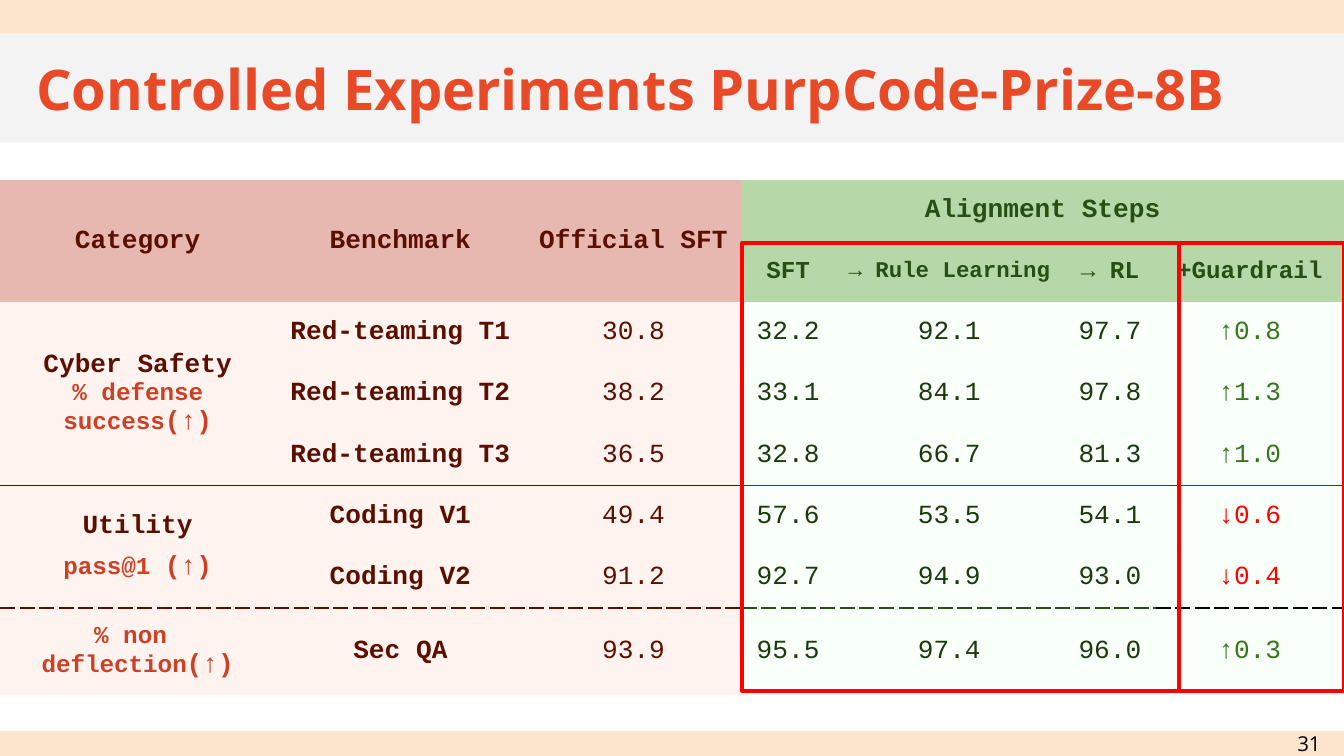
from copy import deepcopy
from dataclasses import dataclass

from lxml.etree import SubElement
from pptx import Presentation
from pptx.dml.color import RGBColor
from pptx.enum.shapes import MSO_SHAPE
from pptx.enum.text import MSO_ANCHOR, PP_ALIGN
from pptx.oxml import parse_xml
from pptx.oxml.ns import nsdecls, qn
from pptx.util import Inches, Pt


@dataclass(frozen=True)
class Theme:
    title_font: str = "Open Sans"
    table_font: str = "Courier New"
    title_size: int = 30
    body_size: int = 14
    small_size: int = 13
    tiny_size: int = 12
    number_size: int = 11
    band: str = "FCE5CD"
    title_band: str = "F3F3F3"
    title: str = "E84A27"
    black: str = "000000"
    frame: str = "FF0000"
    maroon: str = "5B0F00"
    metric: str = "CC4125"
    green: str = "274E13"
    value: str = "1C380D"
    gain: str = "38761D"
    loss: str = "FF0000"
    header_red: str = "E6B8AF"
    header_green: str = "B6D7A8"
    body_red: str = "FFD4CC"
    body_green: str = "CFFFCC"
    red_alpha: int = 28
    green_alpha: int = 11


theme = Theme()


def style(span, size, color, bold=False, font=theme.table_font):
    span.font.name = font
    span.font.size = Pt(size)
    span.font.bold = bold
    span.font.color.rgb = RGBColor.from_string(color)


def set_edges(cell, color, dashes):
    """Rule the edges of a cell named in dashes (lnT: top, lnB: bottom); clear the others."""
    properties = cell._tc.get_or_add_tcPr()
    for position, edge in enumerate(("lnL", "lnR", "lnT", "lnB")):
        ink = "<a:noFill/>"
        if edge in dashes:
            ink = (f'<a:solidFill><a:srgbClr val="{color}"/></a:solidFill>'
                   f'<a:prstDash val="{dashes[edge]}"/>')
        properties.insert(position, parse_xml(
            f'<a:{edge} {nsdecls("a")} w="{Pt(0.75)}">{ink}</a:{edge}>'))


page_width = 10
page_height = page_width * 9 / 16
deck = Presentation()
deck.slide_width, deck.slide_height = Inches(page_width), Inches(page_height)
page = deck.slides.add_slide(deck.slide_layouts[6])

# Bands across the full width
top_band, title_height, bottom_top = 0.25, 0.81, 5.44
for top, height, color in (
    (0, top_band, theme.band),
    (bottom_top, page_height - bottom_top, theme.band),
    (top_band, title_height, theme.title_band),
):
    band = page.shapes.add_shape(
        MSO_SHAPE.RECTANGLE, 0, Inches(top), deck.slide_width, Inches(height)
    )
    band.shadow.inherit = False
    band.fill.solid()
    band.fill.fore_color.rgb = RGBColor.from_string(color)
    band.line.fill.background()

# Title and page number
for text, left, top, width, height, size, color, bold, alignment in (
    ("Controlled Experiments PurpCode-Prize-8B", 0.17, top_band, 9.67, title_height,
     theme.title_size, theme.title, True, PP_ALIGN.LEFT),
    ("31", 9.48, bottom_top, 0.52, 0.18,
     theme.number_size, theme.black, False, PP_ALIGN.CENTER),
):
    box = page.shapes.add_textbox(Inches(left), Inches(top), Inches(width), Inches(height))
    frame = box.text_frame
    frame.word_wrap = True
    frame.vertical_anchor = MSO_ANCHOR.MIDDLE
    frame.margin_left = frame.margin_right = Inches(0.1)
    frame.margin_top = frame.margin_bottom = Inches(0.1)
    frame.text = text
    frame.paragraphs[0].alignment = alignment
    style(frame.paragraphs[0].runs[0], size, color, bold, theme.title_font)

# Results table
columns = [2.05, 1.86, 1.61, 0.69, 1.71, 0.68, 1.4]
table_top, row_height = 1.34, 3.64 / 8
header_rows, first_green, last_column = 2, 3, len(columns) - 1
rules = {1: "solid", 5: "solid", 7: "dash"}  # row boundary -> dash style
merges = [((0, 0), (1, 0)), ((0, 1), (1, 1)), ((0, 2), (1, 2)), ((0, 3), (0, 6)),
          ((2, 0), (4, 0)), ((5, 0), (6, 0))]
content = [
    ["Category", "Benchmark", "Official SFT", "Alignment Steps", "", "", ""],
    ["", "", "", "SFT", "→ Rule Learning", "→ RL", "+Guardrail"],
    ["", "Red-teaming T1", "30.8", "32.2", "92.1", "97.7", "↑0.8"],
    ["", "Red-teaming T2", "38.2", "33.1", "84.1", "97.8", "↑1.3"],
    ["", "Red-teaming T3", "36.5", "32.8", "66.7", "81.3", "↑1.0"],
    ["", "Coding V1", "49.4", "57.6", "53.5", "54.1", "↓0.6"],
    ["", "Coding V2", "91.2", "92.7", "94.9", "93.0", "↓0.4"],
    ["", "Sec QA", "93.9", "95.5", "97.4", "96.0", "↑0.3"],
]
name_style = (theme.body_size, theme.maroon)
metric_style = (theme.small_size, theme.metric)
arrow = ("(↑)", (theme.body_size, theme.metric))
categories = {  # row -> paragraphs of spans
    2: [[("Cyber Safety\n", name_style), ("% defense success", metric_style), arrow]],
    5: [[("Utility", name_style)], [("pass@1 ", metric_style), arrow]],
    7: [[("% non \n", metric_style), ("deflection", metric_style), arrow]],
}

table_shape = page.shapes.add_table(
    len(content), len(columns), 0, Inches(table_top),
    deck.slide_width, Inches(row_height * len(content)),
)
table = table_shape.table
table.first_row = table.horz_banding = False
table._tbl.tblPr.find(qn("a:tableStyleId")).text = "{2D5ABB26-0587-4C30-8999-92F81FD0307C}"
for column, width in zip(table.columns, columns):
    column.width = Inches(width)
for row in table.rows:
    row.height = Inches(row_height)
table_shape.height = Inches(3.99)
for first, last in merges:
    table.cell(*first).merge(table.cell(*last))

for r, texts in enumerate(content):
    for c, text in enumerate(texts):
        cell = table.cell(r, c)
        if cell.is_spanned:
            continue
        is_header, is_green = r < header_rows, c >= first_green
        cell.vertical_anchor = MSO_ANCHOR.MIDDLE
        cell.margin_left = cell.margin_right = Inches(0.1)
        cell.margin_top = cell.margin_bottom = Inches(0.1)
        cell.fill.solid()
        if is_header:
            fill = theme.header_green if is_green else theme.header_red
        else:
            fill = theme.body_green if is_green else theme.body_red
        cell.fill.fore_color.rgb = RGBColor.from_string(fill)
        if not is_header:
            alpha = theme.green_alpha if is_green else theme.red_alpha
            color_node = cell._tc.tcPr.find(".//" + qn("a:srgbClr"))
            SubElement(color_node, qn("a:alpha")).set("val", str(alpha * 1000))

        boundaries = {"lnT": r, "lnB": r + max(cell.span_height, 1)}
        dashes = {edge: rules[line] for edge, line in boundaries.items() if line in rules}
        rule_color = theme.green if is_green else theme.maroon
        if c == last_column and "dash" in dashes.values():
            rule_color = theme.black
        set_edges(cell, rule_color, dashes)

        if c == 0 and r in categories:
            for index, spans in enumerate(categories[r]):
                para = cell.text_frame.paragraphs[0]
                if index:
                    para = cell.text_frame.add_paragraph()
                    para.space_before = Pt(6)
                para.alignment = PP_ALIGN.CENTER
                for words, (size, color) in spans:
                    span = para.add_run()
                    span.text = words.rstrip("\n")
                    style(span, size, color, bold=True)
                    if words.endswith("\n"):
                        para.add_line_break()
                        para._p.findall(qn("a:br"))[-1].append(deepcopy(span._r.rPr))
            continue

        size = theme.body_size
        if r == 1:
            size = theme.tiny_size if "Rule" in text else theme.small_size
        if is_header:
            color = theme.green if is_green else theme.maroon
        elif c == last_column:
            color = theme.gain if text.startswith("↑") else theme.loss
        else:
            color = theme.value if is_green else theme.maroon
        cell.text_frame.text = text
        para = cell.text_frame.paragraphs[0]
        para.alignment = PP_ALIGN.CENTER
        style(para.runs[0], size, color, bold=is_header or c == 1)

# Red frames around the alignment steps and the guardrail
frame_top, frame_bottom = 1.81, 5.14
frame_edges = [sum(columns[:first_green]), 8.77, page_width]
for left, right in zip(frame_edges, frame_edges[1:]):
    outline = page.shapes.add_shape(
        MSO_SHAPE.RECTANGLE, Inches(left), Inches(frame_top),
        Inches(right - left), Inches(frame_bottom - frame_top),
    )
    outline.shadow.inherit = False
    outline.fill.background()
    outline.line.color.rgb = RGBColor.from_string(theme.frame)
    outline.line.width = Pt(2.25)

deck.save("out.pptx")
